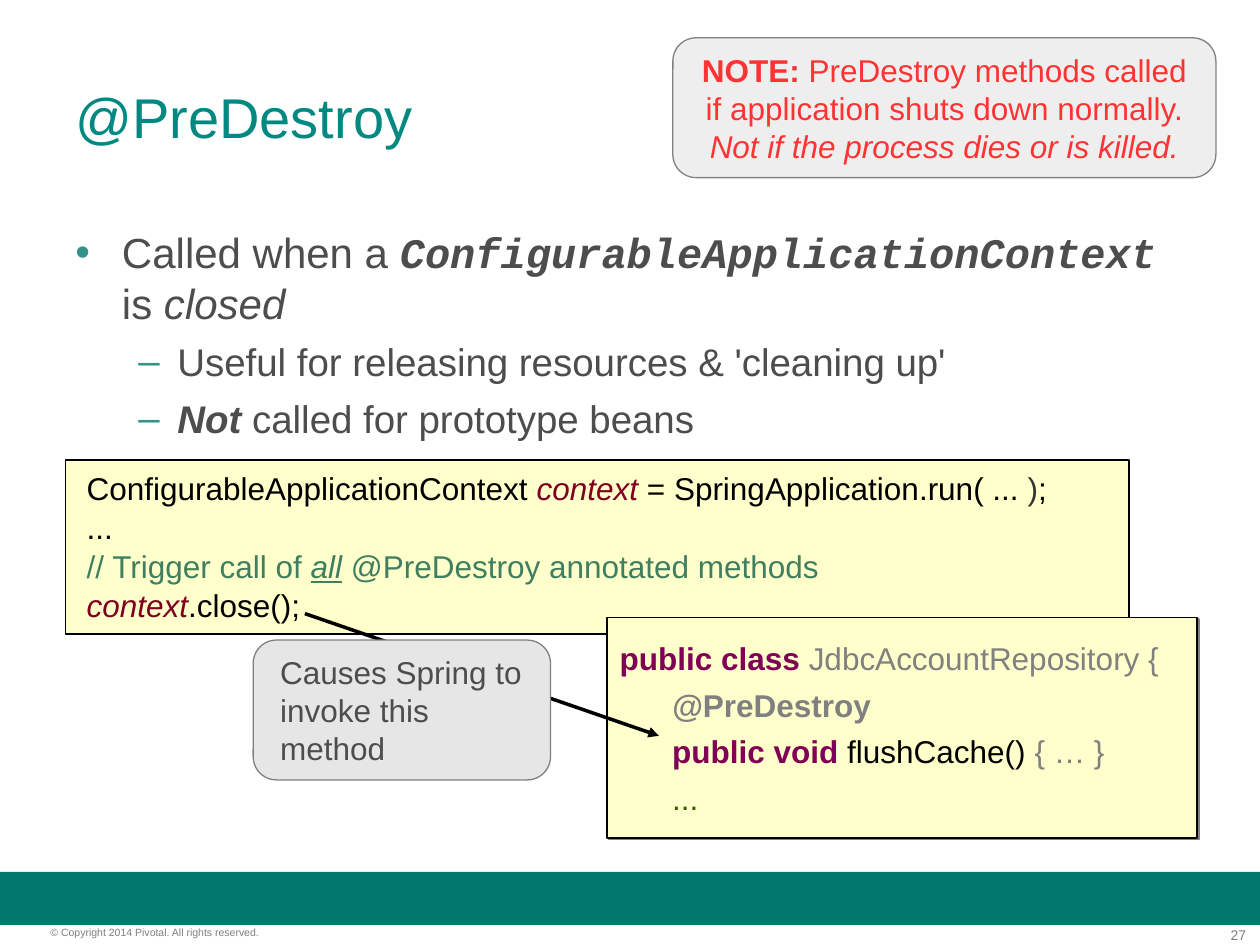
from lxml import etree
from pptx import Presentation
from pptx.dml.color import RGBColor
from pptx.enum.shapes import MSO_CONNECTOR as Connector, MSO_SHAPE as Shape
from pptx.enum.text import MSO_ANCHOR as Anchor, PP_ALIGN as Align
from pptx.oxml import parse_xml
from pptx.oxml.ns import nsdecls, qn
from pptx.util import Inches, Pt

TEAL = RGBColor(0x00, 0x78, 0x6E)
TITLE_TEAL = RGBColor(0x00, 0x88, 0x81)
BULLET_TEAL = RGBColor(0x33, 0x92, 0x8A)
BODY_GRAY = RGBColor(0x4D, 0x4D, 0x4D)
FOOTER_GRAY = RGBColor(0x7F, 0x7F, 0x7F)
GRAY = RGBColor(0x80, 0x80, 0x80)
DARK_GRAY = RGBColor(0x33, 0x33, 0x33)
NOTE_FILL = RGBColor(0xEE, 0xEE, 0xEE)
CALLOUT_FILL = RGBColor(0xE6, 0xE6, 0xE6)
CODE_FILL = RGBColor(0xFF, 0xFF, 0xCC)
BLACK = RGBColor(0x00, 0x00, 0x00)
RED = RGBColor(0xFF, 0x33, 0x33)
VARIABLE = RGBColor(0x7E, 0x00, 0x21)
KEYWORD = RGBColor(0x7F, 0x00, 0x55)
COMMENT = RGBColor(0x3F, 0x7F, 0x5F)
ELLIPSIS_GREEN = RGBColor(0x35, 0x5E, 0x00)

SANS, MONO = "Arial", "Courier New"


def add_run(paragraph, size, text, color, style="", face=SANS):
    """Style letters: b for bold, i for italic, u for underlined."""
    run = paragraph.add_run()
    run.text = text
    font = run.font
    font.name, font.size = face, Pt(size)
    font.color.rgb = color
    font.bold, font.italic, font.underline = (letter in style for letter in "biu")


def write_lines(frame, lines, size, align=Align.LEFT, gap=0, spacing=None):
    for index, runs in enumerate(lines):
        paragraph = frame.add_paragraph() if index else frame.paragraphs[0]
        paragraph.alignment = align
        paragraph.space_before = Pt(gap if index else 0)
        if spacing:
            paragraph.line_spacing = spacing
        for run in runs:
            add_run(paragraph, size, *run)


def set_frame(frame, insets, anchor):
    frame.word_wrap = True
    frame.vertical_anchor = anchor
    (frame.margin_left, frame.margin_top,
     frame.margin_right, frame.margin_bottom) = map(Inches, insets)


def add_text(slide, box, insets=(0.1, 0.05, 0.1, 0.05), anchor=Anchor.TOP):
    frame = slide.shapes.add_textbox(*map(Inches, box)).text_frame
    set_frame(frame, insets, anchor)
    return frame


def add_panel(slide, box, fill, line=None, width=0, kind=Shape.RECTANGLE,
              insets=(0.1, 0.05, 0.1, 0.05), anchor=Anchor.MIDDLE):
    panel = slide.shapes.add_shape(kind, *map(Inches, box))
    panel.shadow.inherit = False
    panel.fill.solid()
    panel.fill.fore_color.rgb = fill
    if line is None:
        panel.line.fill.background()
    else:
        panel.line.color.rgb = line
        panel.line.width = Pt(width)
    set_frame(panel.text_frame, insets, anchor)
    return panel


def add_hard_shadow(panel, color, distance):
    effects = panel._element.spPr.find(qn("a:effectLst"))
    effects.append(parse_xml(
        f'<a:outerShdw {nsdecls("a")} blurRad="0" dist="{Pt(distance)}" '
        f'dir="2700000" algn="ctr" rotWithShape="0">'
        f'<a:srgbClr val="{color}"/></a:outerShdw>'))


def add_arrow(slide, start, end):
    arrow = slide.shapes.add_connector(
        Connector.STRAIGHT, *map(Inches, start + end))
    arrow.line.color.rgb = BLACK
    arrow.line.width = Pt(0)
    etree.SubElement(arrow.line._get_or_add_ln(), qn("a:tailEnd"), type="triangle")
    etree.SubElement(arrow._element.spPr, qn("a:effectLst"))


def add_bullet(paragraph, char, indent, hanging, level):
    properties = paragraph._p.get_or_add_pPr()
    properties.set("marL", str(Inches(indent)))
    properties.set("indent", str(-Inches(hanging)))
    color = etree.SubElement(properties, qn("a:buClr"))
    etree.SubElement(color, qn("a:srgbClr"), val=str(BULLET_TEAL))
    etree.SubElement(properties, qn("a:buFont"), typeface=SANS)
    etree.SubElement(properties, qn("a:buChar"), char=char)
    paragraph.level = level


def add_bullets(slide):
    main_point, sub_point = ("•", 0.37, 0.37, 0), ("–", 0.81, 0.31, 1)
    points = [
        (main_point, 24, [("Called when a ", BODY_GRAY),
                          ("ConfigurableApplicationContext", BODY_GRAY, "bi", MONO),
                          (" is ", BODY_GRAY), ("closed", BODY_GRAY, "i")]),
        (sub_point, 22, [("Useful for releasing resources & 'cleaning up'", BODY_GRAY)]),
        (sub_point, 22, [("Not", BODY_GRAY, "bi"),
                         (" called for prototype beans", BODY_GRAY)]),
    ]
    frame = add_text(slide, (0.5, 1.75, 9, 4.95))
    for index, (bullet, size, runs) in enumerate(points):
        paragraph = frame.add_paragraph() if index else frame.paragraphs[0]
        add_bullet(paragraph, *bullet)
        paragraph.space_before = Pt(6 if index else 0)
        for run in runs:
            add_run(paragraph, size, *run)


def add_footer(slide):
    add_panel(slide, (0, 6.92, 10, 0.42), TEAL)
    no_insets = (0, 0, 0, 0)
    write_lines(add_text(slide, (9.31, 7.35, 0.58, 0.13), no_insets),
                [[("27", FOOTER_GRAY)]], 8, Align.RIGHT)
    write_lines(add_text(slide, (0.4, 7.35, 2.49, 0.1), no_insets),
                [[("© Copyright 2014 Pivotal. All rights reserved.", FOOTER_GRAY)]], 6)


def add_code(slide):
    # Code that closes the context
    closing = add_panel(slide, (0.52, 3.65, 8.44, 1.38), CODE_FILL, BLACK, 1,
                        insets=(0.1, 0.13, 0.1, 0.05), anchor=Anchor.TOP)
    write_lines(closing.text_frame, [
        [(" ConfigurableApplicationContext ", BLACK), ("context", VARIABLE, "i"),
         (" = SpringApplication.run( ... ", BLACK), (")", DARK_GRAY), (";", BLACK)],
        [(" ...", BLACK)],
        [(" // Trigger call of ", COMMENT), ("all", COMMENT, "iu"),
         (" @PreDestroy annotated methods", COMMENT)],
        [(" context", VARIABLE, "i"), (".close();", BLACK)],
    ], 18, gap=5, spacing=0.8)

    # Class whose method is invoked
    repository = add_panel(slide, (4.82, 4.9, 4.68, 1.75), CODE_FILL, BLACK, 1)
    add_hard_shadow(repository, GRAY, 1.4)
    write_lines(repository.text_frame, [
        [("public class", KEYWORD, "b"), (" JdbcAccountRepository {", GRAY)],
        [("      ", GRAY), ("@PreDestroy", GRAY, "b")],
        [("     ", COMMENT), (" public void ", KEYWORD, "b"),
         ("flushCache() ", BLACK), ("{ … }", GRAY)],
        [("      ...", ELLIPSIS_GREEN)],
    ], 18, gap=5)


def add_callouts(slide):
    add_arrow(slide, (2.42, 4.87), (5.23, 5.84))
    callout = add_panel(slide, (2.01, 5.08, 2.36, 1.11), CALLOUT_FILL, GRAY,
                        kind=Shape.ROUNDED_RECTANGLE, insets=(0.16, 0.05, 0.16, 0.05))
    write_lines(callout.text_frame, [[("Causes Spring to", BODY_GRAY)],
                                     [("invoke this method", BODY_GRAY)]], 18)

    note = add_panel(slide, (5.34, 0.3, 4.31, 1.11), NOTE_FILL, GRAY,
                     kind=Shape.ROUNDED_RECTANGLE)
    write_lines(note.text_frame, [[
        ("NOTE:", RED, "b"),
        (" PreDestroy methods called if application shuts down normally. ", RED),
        ("Not if the process dies or is killed.", RED, "i")]], 18, Align.CENTER)


def main():
    deck = Presentation()
    deck.slide_width, deck.slide_height = Inches(10), Inches(7.5)
    slide = deck.slides.add_slide(deck.slide_layouts[6])
    add_footer(slide)
    title = add_text(slide, (0.5, 0.3, 9, 1.25), anchor=Anchor.MIDDLE)
    write_lines(title, [[("@PreDestroy", TITLE_TEAL)]], 32)
    add_bullets(slide)
    add_code(slide)
    add_callouts(slide)
    deck.save("out.pptx")


if __name__ == "__main__":
    main()
